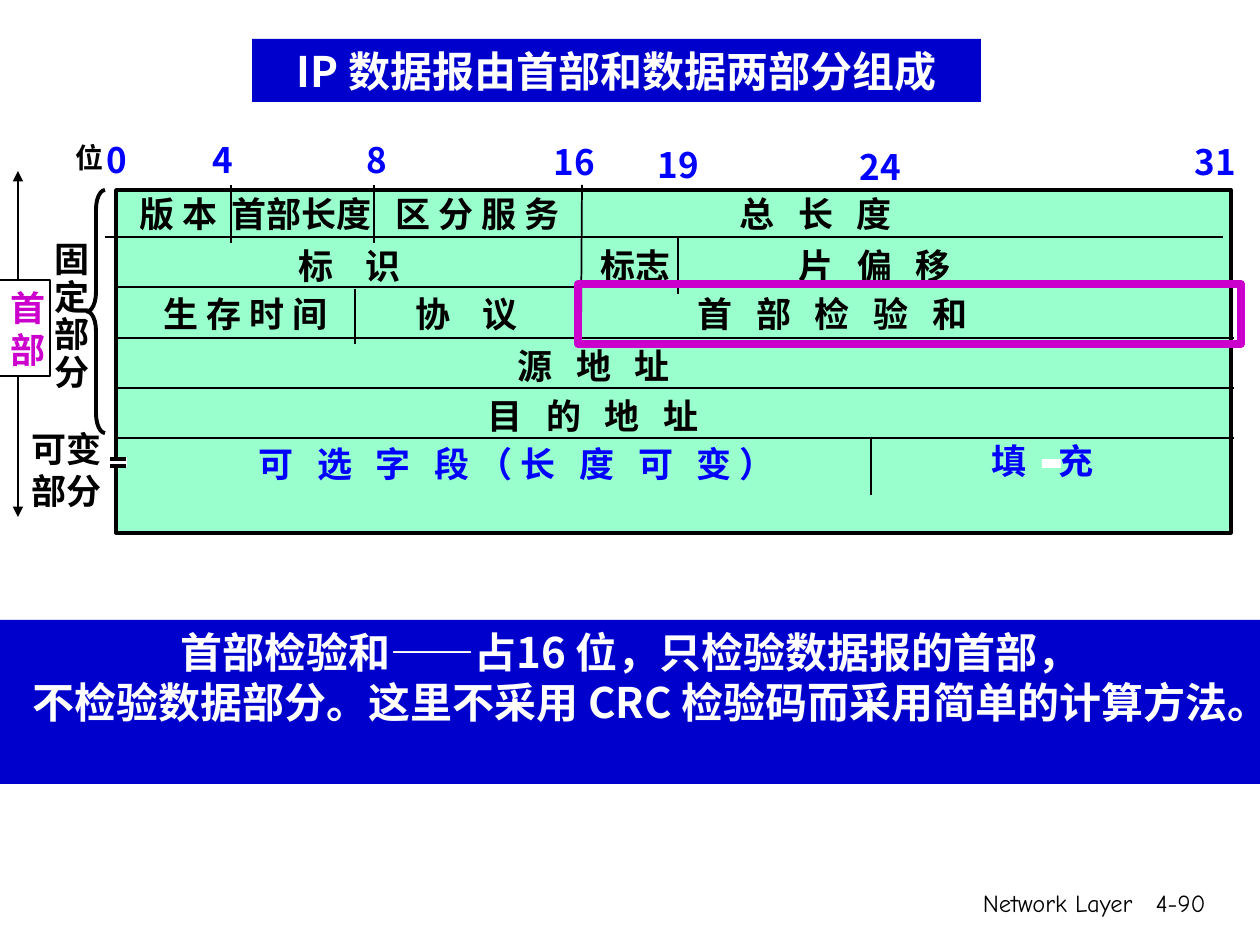
"""Build the slide on the fields of an IP datagram header."""
from typing import NamedTuple

from lxml import etree
from pptx import Presentation
from pptx import util as u
from pptx.dml.color import RGBColor
from pptx.enum import shapes, text
from pptx.oxml.ns import qn

PX = 914400 / 126
SANS, COMIC = "Noto Sans CJK SC", "Comic Neue"
BLACK, WHITE, BLUE, NAVY = "000000", "FFFFFF", "0000FF", "0000CC"
MINT, MAGENTA = "99FFCC", "CC00CC"
LEFT, CENTER, RIGHT = text.PP_ALIGN.LEFT, text.PP_ALIGN.CENTER, text.PP_ALIGN.RIGHT
RECT = shapes.MSO_SHAPE.RECTANGLE


class Style(NamedTuple):
    size: int = 20
    color: str = BLACK
    font: str = SANS
    bold: bool = True
    align: int = LEFT
    leading: float = 1.0
    tracking: float = 0


class Label(NamedTuple):
    words: str
    x: int
    y: int
    w: int
    h: int = 54
    style: Style = Style()


class Line(NamedTuple):
    x1: int
    y1: int
    x2: int
    y2: int
    width: float = 1
    arrows: bool = False


FIELD = Style()
WIDE = Style(tracking=4.5)
WIDER = Style(tracking=6.9)
BIT = Style(color=BLUE)
OPTION = Style(color=BLUE, tracking=4.5)
PADDING = Style(color=BLUE, tracking=6.9)
BANNER = Style(24, WHITE, align=CENTER)
FOOTER = Style(14, font=COMIC, bold=False, align=RIGHT)

BITS = [("0", 94, 132, 50), ("4", 200, 132, 50), ("8", 354, 132, 50), ("16", 541, 134, 72),
        ("19", 645, 137, 72), ("24", 847, 139, 72), ("31", 1182, 134, 72)]
ROWS = [186, 238, 286, 338, 388]
LABELS = [Label(*bit, style=BIT) for bit in BITS] + [
    Label("位", 63, 134, 64, 45, Style(16)),
    Label("版 本", 127, ROWS[0], 145),
    Label("首部长度", 219, ROWS[0], 223),
    Label("区 分 服 务", 383, ROWS[0], 265),
    Label("总 长 度", 727, ROWS[0], 260, style=WIDE),
    Label("标 识", 286, ROWS[1], 186, style=WIDER),
    Label("标志", 588, ROWS[1], 132),
    Label("片 偏 移", 786, ROWS[1], 260, style=WIDE),
    Label("生 存 时 间", 151, ROWS[2], 265),
    Label("协 议", 403, ROWS[2], 186, style=WIDER),
    Label("首 部 检 验 和", 685, ROWS[2], 432, style=WIDE),
    Label("源 地 址", 505, ROWS[3], 260, style=WIDE),
    Label("目 的 地 址", 475, ROWS[4], 345, style=WIDE),
    Label("可 选 字 段（长 度 可 变）", 246, 436, 770, style=OPTION),
    Label("填 充", 979, 433, 186, style=PADDING),
    Label("固\n定\n部\n分", 42, 236, 87, 164, Style(leading=0.9)),
    Label("可变\n部分", 19, 421, 132, 96),
    Label("Network Layer", 746, 882, 399, 63, FOOTER),
    Label("4-90", 1125, 882, 93, 63, FOOTER),
]
LINES = [Line(105, 237, 1223, 237)] + [Line(116, y, 1234, y) for y in (287, 338, 388, 438)] + [
    Line(231, 185, 231, 243),
    Line(374, 185, 374, 243),
    Line(582, 185, 581, 333),
    Line(678, 238, 678, 294),
    Line(355, 289, 355, 344),
    Line(871, 438, 871, 495),
]


def px(n: float) -> int:
    """Turn px into EMU."""
    return round(n * PX)


def rgb(value: str) -> RGBColor:
    """Turn a hex string into a colour."""
    return RGBColor.from_string(value)


def write(tf, words: str, style: Style) -> None:
    """Fill a text frame with evenly styled paragraphs."""
    tf.word_wrap = True
    tf.auto_size = text.MSO_AUTO_SIZE.NONE
    tf.vertical_anchor = text.MSO_ANCHOR.TOP
    tf.text = words
    for p in tf.paragraphs:
        p.alignment = style.align
        p.line_spacing = style.leading
        p.font.size = u.Pt(style.size)
        p.font.bold = style.bold
        p.font.name = style.font
        p.font.color.rgb = rgb(style.color)
        latin = p._p.pPr.find(qn("a:defRPr")).find(qn("a:latin"))
        latin.addnext(latin.makeelement(qn("a:ea"), {"typeface": style.font}))
        if style.tracking:
            for r in p.runs:
                r._r.get_or_add_rPr().set("spc", str(round(style.tracking * 100)))


def add_label(s, label: Label) -> None:
    """Add a text box."""
    sp = s.shapes.add_textbox(*map(px, label[1:5]))
    write(sp.text_frame, label.words, label.style)


def add_box(s, x: int, y: int, w: int, h: int, fill: str = "", line: str = "",
            width: float = 1, kind: int = RECT):
    """Add a preset shape with an optional fill and outline."""
    sp = s.shapes.add_shape(kind, *map(px, (x, y, w, h)))
    sp.shadow.inherit = False
    if fill:
        sp.fill.solid()
        sp.fill.fore_color.rgb = rgb(fill)
    else:
        sp.fill.background()
    if line:
        sp.line.color.rgb = rgb(line)
        sp.line.width = u.Pt(width)
    else:
        sp.line.fill.background()
    return sp


def add_line(s, line: Line) -> None:
    """Add a straight black connector."""
    sp = s.shapes.add_connector(shapes.MSO_CONNECTOR.STRAIGHT, *map(px, line[:4]))
    sp.line.color.rgb = rgb(BLACK)
    sp.line.width = u.Pt(line.width)
    if line.arrows:
        for end in ("a:headEnd", "a:tailEnd"):
            etree.SubElement(sp.line._get_or_add_ln(), qn(end), type="triangle")
    etree.SubElement(sp._element.spPr, qn("a:effectLst"))


def add_title(s, words: str) -> None:
    """Place and format the title placeholder."""
    sp = s.shapes.title
    sp.left, sp.top, sp.width, sp.height = map(px, (252, 39, 729, 63))
    sp.fill.solid()
    sp.fill.fore_color.rgb = rgb(NAVY)
    write(sp.text_frame, words, BANNER)


def main() -> None:
    """Build and save the slide."""
    prs = Presentation()
    prs.slide_width, prs.slide_height = px(1260), px(945)
    s = prs.slides.add_slide(prs.slide_layouts[5])
    add_title(s, "IP 数据报由首部和数据两部分组成")
    add_box(s, 116, 190, 1115, 343, MINT, BLACK, 2)
    for line in LINES:
        add_line(s, line)
    for label in LABELS:
        add_label(s, label)

    add_box(s, 108, 458, 19, 9, WHITE)
    for y in (459, 466):
        add_line(s, Line(110, y, 126, y, 2))
    add_box(s, 1042, 459, 19, 9, WHITE)

    brace = add_box(s, 87, 190, 18, 243, line=BLACK, width=2.25,
                    kind=shapes.MSO_SHAPE.LEFT_BRACE)
    brace.adjustments[0], brace.adjustments[1] = 1.08, 0.5
    add_line(s, Line(18, 171, 18, 517, arrows=True))
    header = add_box(s, -2, 280, 52, 96, WHITE, BLACK)
    write(header.text_frame, "首\n部", Style(color=MAGENTA))

    add_box(s, 578, 284, 663, 60, line=MAGENTA, width=4.5)
    note = add_box(s, 0, 620, 1260, 164, NAVY)
    write(note.text_frame, "首部检验和——占16 位，只检验数据报的首部，\n"
          "不检验数据部分。这里不采用 CRC 检验码而采用简单的计算方法。", BANNER)
    prs.save("out.pptx")


if __name__ == "__main__":
    main()
